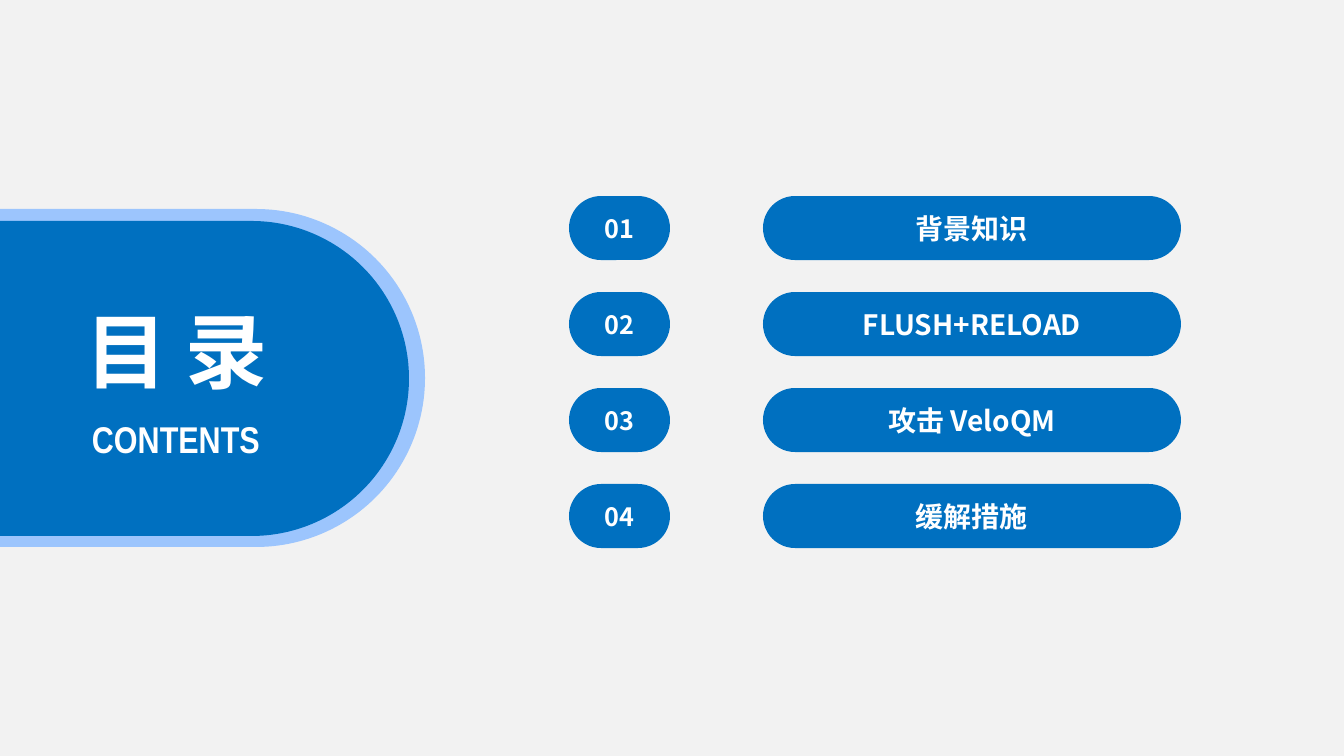
"""Build a contents slide with a title tab and four numbered entries."""
from dataclasses import dataclass

from lxml import etree
from pptx import Presentation
from pptx.dml.color import RGBColor
from pptx.enum.shapes import MSO_SHAPE
from pptx.enum.text import MSO_ANCHOR, MSO_AUTO_SIZE, PP_ALIGN
from pptx.oxml.ns import qn
from pptx.shapes.autoshape import Shape
from pptx.slide import Slide
from pptx.util import Emu, Pt

ROUNDED = MSO_SHAPE.ROUNDED_RECTANGLE
MIDDLE = MSO_ANCHOR.MIDDLE
CENTER = PP_ALIGN.CENTER
GROW = MSO_AUTO_SIZE.SHAPE_TO_FIT_TEXT

SLIDE_WIDTH, SLIDE_HEIGHT = 1344, 756
EMU_PER_PX = 12192000 / SLIDE_WIDTH
COLORS = {"background": "F2F2F2", "blue": "0070C0", "rim": "9CC5FD", "text": "FFFFFF"}
SANS, NARROW = "Noto Sans CJK SC", "Arial Narrow"

ENTRIES = ["背景知识", "FLUSH+RELOAD", "攻击 VeloQM", "缓解措施"]
FIRST_TOP, ROW_PITCH, ROW_HEIGHT = 196, 96, 64
NUMBER_LEFT, NUMBER_WIDTH = 569, 101
ENTRY_LEFT, ENTRY_WIDTH = 763, 418


@dataclass(frozen=True)
class Box:
    left: int
    top: int
    width: int
    height: int

    def emu(self) -> tuple[Emu, Emu, Emu, Emu]:
        return px(self.left), px(self.top), px(self.width), px(self.height)


@dataclass(frozen=True)
class Tab:
    box: Box
    color: str


@dataclass(frozen=True)
class Heading:
    box: Box
    text: str
    size: float
    font: str


TABS = [
    Tab(Box(-198, 209, 623, 338), "rim"),
    Tab(Box(-171, 221, 580, 315), "blue"),
]
HEADINGS = [
    Heading(Box(62, 411, 228, 55), "CONTENTS", 26.6, NARROW),
    Heading(Box(71, 296, 211, 110), "目 录", 58.6, SANS),
]


def px(length: int) -> Emu:
    return Emu(round(length * EMU_PER_PX))


def color(name: str) -> RGBColor:
    return RGBColor.from_string(COLORS[name])


def write_text(shape: Shape, text: str, size: float, font: str) -> None:
    paragraph = shape.text_frame.paragraphs[0]
    paragraph.text = text
    paragraph.alignment = CENTER
    paragraph.font.name = font
    paragraph.font.size = Pt(size)
    paragraph.font.bold = True
    paragraph.font.color.rgb = color("text")
    properties = paragraph._p.pPr.find(qn("a:defRPr"))
    etree.SubElement(properties, qn("a:ea")).set("typeface", font)


def add_pill(slide: Slide, box: Box, fill: str) -> Shape:
    shape = slide.shapes.add_shape(ROUNDED, *box.emu())
    shape.adjustments[0] = 0.5
    shape.shadow.inherit = False
    shape.fill.solid()
    shape.fill.fore_color.rgb = color(fill)
    shape.line.fill.background()
    return shape


def add_label(slide: Slide, box: Box, text: str, size: float) -> None:
    shape = add_pill(slide, box, "blue")
    shape.text_frame.vertical_anchor = MIDDLE
    write_text(shape, text, size, SANS)


def add_heading(slide: Slide, heading: Heading) -> None:
    shape = slide.shapes.add_textbox(*heading.box.emu())
    shape.text_frame.word_wrap = False
    shape.text_frame.auto_size = GROW
    write_text(shape, heading.text, heading.size, heading.font)


def main() -> None:
    presentation = Presentation()
    presentation.slide_width = px(SLIDE_WIDTH)
    presentation.slide_height = px(SLIDE_HEIGHT)
    slide = presentation.slides.add_slide(presentation.slide_layouts[6])
    slide.background.fill.solid()
    slide.background.fill.fore_color.rgb = color("background")

    for tab in TABS:
        add_pill(slide, tab.box, tab.color)
    for heading in HEADINGS:
        add_heading(slide, heading)
    for row, entry in enumerate(ENTRIES):
        top = FIRST_TOP + row * ROW_PITCH
        add_label(slide, Box(NUMBER_LEFT, top, NUMBER_WIDTH, ROW_HEIGHT), f"{row + 1:02}", 18)
        add_label(slide, Box(ENTRY_LEFT, top, ENTRY_WIDTH, ROW_HEIGHT), entry, 20)

    presentation.save("out.pptx")


if __name__ == "__main__":
    main()
